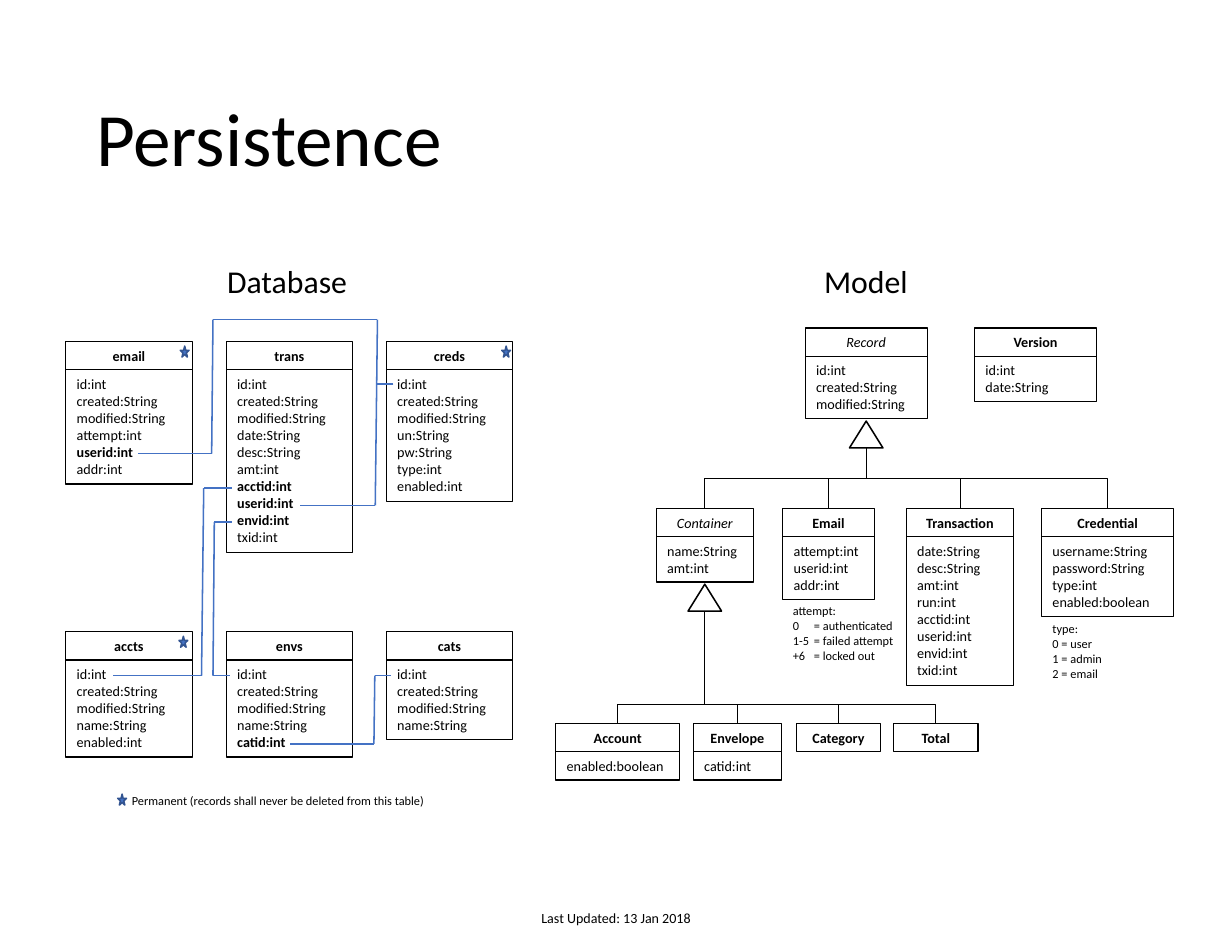
"""Build the Persistence slide: database tables beside the model class tree."""
from itertools import pairwise

from lxml import etree
from pptx import Presentation
from pptx.dml.color import RGBColor
from pptx.enum.shapes import MSO_CONNECTOR, MSO_SHAPE
from pptx.enum.text import MSO_ANCHOR, MSO_AUTO_SIZE, PP_ALIGN
from pptx.oxml.ns import qn
from pptx.util import Cm, Pt

RECTANGLE, STAR = MSO_SHAPE.RECTANGLE, MSO_SHAPE.STAR_5_POINT
TRIANGLE = MSO_SHAPE.ISOSCELES_TRIANGLE
STRAIGHT, ELBOW = MSO_CONNECTOR.STRAIGHT, MSO_CONNECTOR.ELBOW
LEFT, CENTER = PP_ALIGN.LEFT, PP_ALIGN.CENTER
TOP, MIDDLE = MSO_ANCHOR.TOP, MSO_ANCHOR.MIDDLE
FIT_SHAPE, FIXED = MSO_AUTO_SIZE.SHAPE_TO_FIT_TEXT, MSO_AUTO_SIZE.NONE
BLACK, WHITE, BLUE, DARK_BLUE = "000000", "FFFFFF", "4472C4", "325491"
HEADER_HEIGHT, LINE_HEIGHT, PADDING = 0.64, 0.39, 0.25


def paint(fill, color):
    fill.solid()
    fill.fore_color.rgb = RGBColor.from_string(color)


def write(shape, lines, size, align=LEFT, bold=(), italic=(), wrap=True):
    frame = shape.text_frame
    frame.text = "\n".join(lines)
    frame.word_wrap = wrap
    frame.vertical_anchor = TOP
    frame.auto_size = FIT_SHAPE
    for para in frame.paragraphs:
        para.alignment = align
        for span in para.runs:
            span.font.name = "Calibri"
            span.font.size = Pt(size)
            span.font.bold = para.text in bold
            span.font.italic = para.text in italic
            paint(span.font.fill, BLACK)


deck = Presentation()
deck.slide_width, deck.slide_height = Cm(27.94), Cm(21.59)
page = deck.slides.add_slide(deck.slide_layouts[6])
shapes = page.shapes

stamps = ["id:int", "created:String", "modified:String"]
columns = [1.49, 5.13, 8.76]
rows = [7.75, 14.33]
foreign_keys = {"userid:int", "acctid:int", "envid:int", "catid:int"}
tables = [
    ("email", 0, 0, stamps + ["attempt:int", "userid:int", "addr:int"]),
    ("trans", 1, 0, stamps + ["date:String", "desc:String", "amt:int", "acctid:int",
                              "userid:int", "envid:int", "txid:int"]),
    ("creds", 2, 0, stamps + ["un:String", "pw:String", "type:int", "enabled:int"]),
    ("accts", 0, 1, stamps + ["name:String", "enabled:int"]),
    ("envs", 1, 1, stamps + ["name:String", "catid:int"]),
    ("cats", 2, 1, stamps + ["name:String"]),
]
abstract = {"Record", "Container"}
classes = [
    ("Record", 18.26, 7.44, 2.77, stamps),
    ("Version", 22.1, 7.44, 2.77, ["id:int", "date:String"]),
    ("Container", 14.88, 11.53, 2.21, ["name:String", "amt:int"]),
    ("Email", 17.75, 11.53, 2.08, ["attempt:int", "userid:int", "addr:int"]),
    ("Transaction", 20.55, 11.53, 2.44, ["date:String", "desc:String", "amt:int", "run:int",
                                         "acctid:int", "userid:int", "envid:int", "txid:int"]),
    ("Credential", 23.62, 11.53, 3, ["username:String", "password:String",
                                     "type:int", "enabled:boolean"]),
    ("Account", 12.6, 16.41, 2.82, ["enabled:boolean"]),
    ("Envelope", 15.72, 16.41, 2.01, ["catid:int"]),
    ("Category", 18.06, 16.41, 1.91, []),
    ("Total", 20.27, 16.41, 1.91, []),
]
entities = [(name, columns[column], rows[row], 2.87, fields, foreign_keys)
            for name, column, row, fields in tables]
entities += [(*entry, set()) for entry in classes]

for name, left, top, width, fields, keys in entities:
    body_height = PADDING + LINE_HEIGHT * len(fields)
    parts = [([name], top, HEADER_HEIGHT, CENTER, {name} - abstract)]
    if fields:
        parts.append((fields, top + HEADER_HEIGHT, body_height, LEFT, keys))
    for lines, part_top, height, align, bold in parts:
        box = shapes.add_shape(RECTANGLE, Cm(left), Cm(part_top), Cm(width), Cm(height))
        box.shadow.inherit = False
        box.fill.background()
        paint(box.line.fill, BLACK)
        box.line.width = Pt(0.75)
        write(box, lines, 9.1, align, bold, abstract)

places = {name: (left + width / 2, top, len(fields))
          for name, left, top, width, fields in classes}
families = [
    ("Record", 0.5, ["Container", "Email", "Transaction", "Credential"]),
    ("Container", 0.83, ["Account", "Envelope", "Category", "Total"]),
]
connectors = []
markers = []
for parent, bend, children in families:
    center, top, count = places[parent]
    tip = top + HEADER_HEIGHT + PADDING + LINE_HEIGHT * count + 0.05
    markers.append((TRIANGLE, center - 0.38, tip, 0.76, 0.61, WHITE, BLACK))
    start = tip + 0.61
    for child in children:
        end, child_top, _ = places[child]
        drop, reach = child_top - start, abs(end - center)
        middle_x, middle_y = (center + end) / 2, (start + child_top) / 2
        left, upper = middle_x - drop / 2, middle_y - reach / 2
        branch = shapes.add_connector(ELBOW, Cm(left), Cm(upper),
                                      Cm(left + drop), Cm(upper + reach))
        frame = branch._element.spPr.find(qn("a:xfrm"))
        if end < center:
            frame.set("rot", "5400000")
        else:
            frame.set("rot", "16200000")
            frame.set("flipH", "1")
        guides = branch._element.spPr.find(qn("a:prstGeom")).find(qn("a:avLst"))
        etree.SubElement(guides, qn("a:gd"), name="adj1", fmla=f"val {round(bend * 100000)}")
        connectors.append((branch, BLACK, 0.5))

relations = [
    [(5.26, 11.84), (4.86, 11.84), (4.83, 15.32), (5.21, 15.32)],
    [(6.81, 11.46), (8.51, 11.46), (8.56, 7.25), (4.83, 7.25), (4.8, 10.29), (3.12, 10.29)],
    [(8.92, 8.71), (8.54, 8.71)],
    [(5.26, 11.07), (4.62, 11.07), (4.57, 15.32), (2.57, 15.32)],
    [(8.86, 15.32), (8.5, 15.32), (8.48, 16.87), (6.58, 16.87)],
]
for route in relations:
    for (x1, y1), (x2, y2) in pairwise(route):
        segment = shapes.add_connector(STRAIGHT, Cm(x1), Cm(y1), Cm(x2), Cm(y2))
        connectors.append((segment, BLUE, 1))

for connector, color, weight in connectors:
    paint(connector.line.fill, color)
    connector.line.width = Pt(weight)
    etree.SubElement(connector._element.spPr, qn("a:effectLst"))

for left, top in [(4.09, 7.85), (11.38, 7.85), (4.06, 14.43), (2.67, 18.01)]:
    markers.append((STAR, left, top, 0.2, 0.25, BLUE, DARK_BLUE))
for kind, left, top, width, height, color, outline in markers:
    marker = shapes.add_shape(kind, Cm(left), Cm(top), Cm(width), Cm(height))
    marker.shadow.inherit = False
    paint(marker.fill, color)
    paint(marker.line.fill, outline)
    marker.line.width = Pt(1)

labels = [
    (4.9, 5.82, 3.25, 1.12, 20.4, ["Database"]),
    (18.44, 5.82, 2.44, 1.12, 20.4, ["Model"]),
    (23.62, 13.97, 1.65, 1.63, 7.9, ["type:", "0 = user", "1 = admin", "2 = email"]),
    (17.73, 13.56, 2.82, 1.63, 7.9, ["attempt:", "0\t= authenticated",
                                     "1-5\t= failed attempt", "+6\t= locked out"]),
    (2.74, 17.86, 7.24, 0.58, 7.9,
     ["Permanent (records shall never be deleted from this table)"]),
]
for left, top, width, height, size, lines in labels:
    label = shapes.add_textbox(Cm(left), Cm(top), Cm(width), Cm(height))
    write(label, lines, size, wrap=False)
    for para in label.text_frame.paragraphs:
        if "\t" in para.text:
            stops = etree.SubElement(para._p.get_or_add_pPr(), qn("a:tabLst"))
            etree.SubElement(stops, qn("a:tab"), pos=str(Cm(0.48)), algn="l")

title = shapes.add_textbox(Cm(1.93), Cm(1.14), Cm(24.1), Cm(4.17))
write(title, ["Persistence"], 48.4)
title.text_frame.auto_size = FIXED
title.text_frame.vertical_anchor = MIDDLE
title.text_frame.paragraphs[0].line_spacing = 0.9

footer = shapes.add_textbox(Cm(0), Cm(20.5), Cm(27.94), Cm(0.64))
write(footer, ["Last Updated: 13 Jan 2018"], 9, CENTER)

deck.save("out.pptx")
